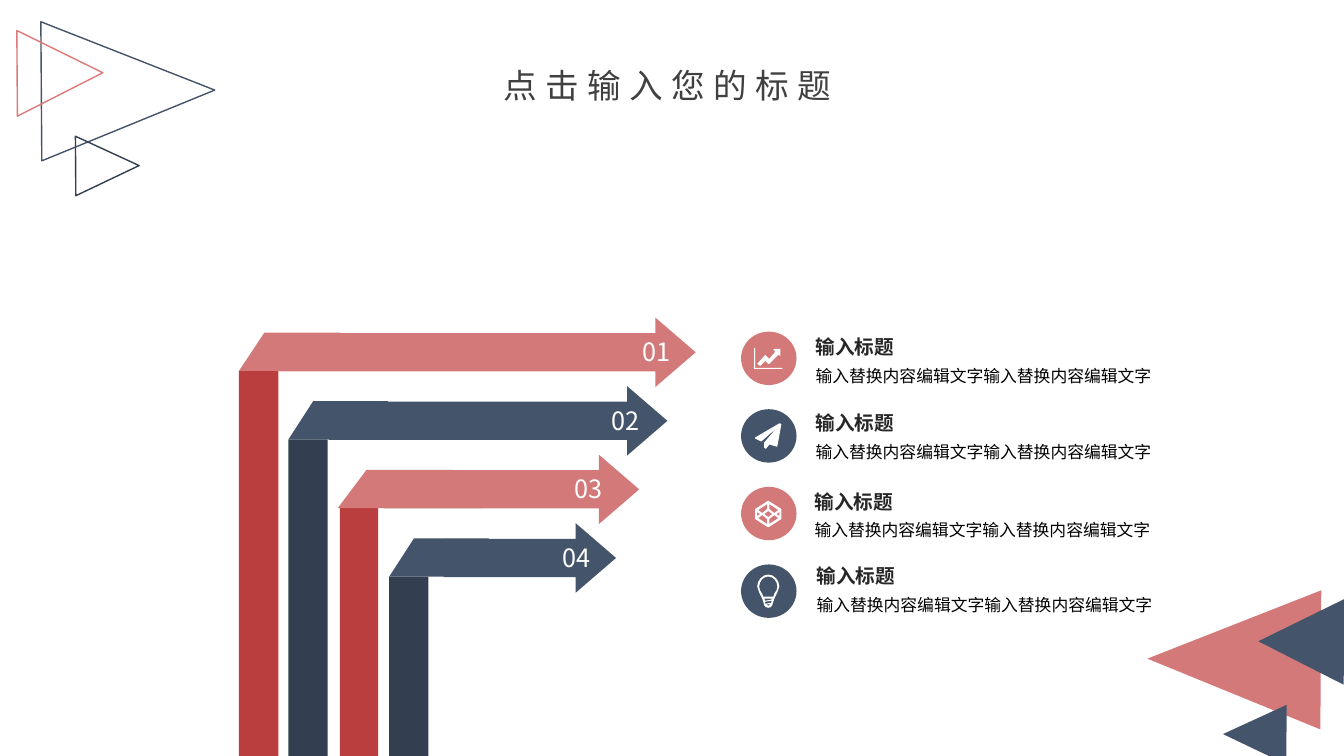
"""Build a slide of four folded arrows beside four captioned icons."""
from dataclasses import dataclass
from typing import Optional

from lxml import etree
from pptx import Presentation
from pptx.dml.color import RGBColor
from pptx.enum.shapes import MSO_SHAPE
from pptx.enum.text import MSO_ANCHOR, MSO_AUTO_SIZE, PP_ALIGN
from pptx.oxml.ns import qn
from pptx.util import Inches, Pt

TRIANGLE = MSO_SHAPE.ISOSCELES_TRIANGLE
RECTANGLE = MSO_SHAPE.RECTANGLE
ARROW = MSO_SHAPE.RIGHT_ARROW
FOLD = MSO_SHAPE.FLOWCHART_MANUAL_OPERATION
OVAL = MSO_SHAPE.OVAL
CENTER = PP_ALIGN.CENTER
LEFT = PP_ALIGN.LEFT
MIDDLE = MSO_ANCHOR.MIDDLE
TOP = MSO_ANCHOR.TOP
GROW = MSO_AUTO_SIZE.SHAPE_TO_FIT_TEXT
FIXED = MSO_AUTO_SIZE.NONE

ROSE = RGBColor(0xD3, 0x79, 0x79)
PINK = RGBColor(0xDD, 0x79, 0x79)
RED = RGBColor(0xBB, 0x3E, 0x3E)
SLATE = RGBColor(0x44, 0x54, 0x6A)
NAVY = RGBColor(0x33, 0x3F, 0x50)
WHITE = RGBColor(0xFF, 0xFF, 0xFF)
BLACK = RGBColor(0x00, 0x00, 0x00)
INK = RGBColor(0x26, 0x26, 0x26)
GRAY = RGBColor(0x40, 0x40, 0x40)

FONT = "Noto Sans CJK SC"
PAGE_HEIGHT = 7.5
Contour = list[tuple[float, float]]


@dataclass(frozen=True)
class Triangle:
    left: float
    top: float
    width: float
    height: float
    rotation: float
    fill: Optional[RGBColor] = None
    line: Optional[RGBColor] = None


@dataclass(frozen=True)
class FoldedArrow:
    label: str
    pillar_left: float
    pillar_width: float
    fold_left: float
    fold_width: float
    arrow_left: float
    arrow_width: float
    label_left: float
    front: RGBColor
    side: RGBColor


@dataclass(frozen=True)
class Caption:
    left: float
    top: float
    color: RGBColor
    icon_left: float
    icon_top: float
    icon: list[Contour]


@dataclass(frozen=True)
class TextStyle:
    size: float
    color: RGBColor
    bold: bool = False
    align: int = LEFT
    anchor: int = TOP
    side_inset: float = 0
    end_inset: float = 0
    line_spacing: float = 1.0
    letter_spacing: float = 0
    wrap: bool = True
    auto_size: int = GROW


HEADING = TextStyle(24, GRAY, align=CENTER, anchor=MIDDLE, letter_spacing=6)
NUMBER = TextStyle(18, WHITE, align=CENTER, anchor=MIDDLE, wrap=False, auto_size=FIXED)
SUBTITLE = TextStyle(14, INK, bold=True, side_inset=0.1, line_spacing=1.5)
BODY = TextStyle(12, BLACK, side_inset=0.1, end_inset=0.05, line_spacing=1.2)


def mirrored(half: Contour, width: float) -> Contour:
    """Close a left-hand outline with its reflection."""
    return half + [(width - x, y) for x, y in reversed(half)]


CHART_ICON = [
    [(28, 21), (0, 21), (0, 0), (1, 0), (1, 20), (28, 20)],
    [(26, 8), (24, 7), (15, 16), (14, 16), (11, 13), (6, 18), (3, 16), (11, 7),
     (15, 11), (21, 4), (19, 2), (20, 1), (26, 1)],
]
PLANE_ICON = [
    [(26, 1), (22, 23), (21, 23), (14, 21), (11, 25), (10, 25), (9, 24), (9, 19),
     (21, 5), (6, 18), (0, 15), (0, 14), (24, 0), (25, 0)],
]
CUBE_ICON = [
    mirrored([(12.5, 0), (0, 8), (0, 18), (12.5, 26)], 26),
    [(5, 13), (2, 11), (2, 15)],
    [(12, 8), (12, 3), (3, 9), (7, 12)],
    [(12, 23), (12, 18), (7, 14), (3, 17)],
    [(17, 13), (13, 10), (9, 13), (13, 16)],
    [(23, 9), (14, 3), (14, 8), (19, 12)],
    [(23, 17), (19, 14), (14, 18), (14, 23)],
    [(24, 15), (24, 11), (21, 13)],
]
BULB_ICON = [
    mirrored([(11, 0), (6.8, 1), (3.2, 3.8), (0.9, 7.6), (0, 12), (2.1, 18), (5, 24),
              (7.2, 30.8), (8.6, 32.4), (11, 33)], 22),
    mirrored([(11, 2), (7.5, 2.8), (4.6, 5), (2.7, 8.3), (2, 12), (2.7, 15.5),
              (5, 19), (6, 22)], 22),
    [(14, 28), (8, 29), (8, 27), (14, 26)],
    [(8, 26), (7, 24), (15, 24), (14, 25)],
    [(11, 31), (9, 30), (13, 29)],
]

TRIANGLES = [
    Triangle(11.55, 5.68, 1.38, 1.72, 270.4, fill=ROSE),
    Triangle(12.15, 6.97, 0.59, 0.63, 270.4, fill=SLATE),
    Triangle(12.48, 5.94, 0.85, 0.85, 270.4, fill=SLATE),
    Triangle(0.58, 0.04, 1.38, 1.72, 89.6, line=SLATE),
    Triangle(0.77, 1.33, 0.59, 0.63, 89.6, line=NAVY),
    Triangle(0.17, 0.3, 0.85, 0.85, 89.6, line=PINK),
]
ARROWS = [
    FoldedArrow("01", 2.37, 0.39, 2.37, 1.26, 2.77, 4.13, 6.28, ROSE, RED),
    FoldedArrow("02", 2.86, 0.39, 2.86, 1.23, 3.26, 3.36, 5.97, SLATE, NAVY),
    FoldedArrow("03", 3.37, 0.38, 3.35, 1.43, 3.81, 2.53, 5.6, ROSE, RED),
    FoldedArrow("04", 3.86, 0.39, 3.86, 1.23, 4.4, 1.71, 5.48, SLATE, NAVY),
]
CAPTIONS = [
    Caption(7.99, 3.21, ROSE, 0.13, 0.16, CHART_ICON),
    Caption(7.99, 3.96, SLATE, 0.14, 0.14, PLANE_ICON),
    Caption(7.98, 4.74, ROSE, 0.14, 0.14, CUBE_ICON),
    Caption(8, 5.48, SLATE, 0.16, 0.1, BULB_ICON),
]


def paint(shape, fill: Optional[RGBColor], line: Optional[RGBColor] = None) -> None:
    """Give a shape a plain fill and outline without a shadow."""
    shape.shadow.inherit = False
    if fill is None:
        shape.fill.background()
    else:
        shape.fill.solid()
        shape.fill.fore_color.rgb = fill
    if line is None:
        shape.line.fill.background()
    else:
        shape.line.color.rgb = line
        shape.line.width = Pt(1)


def add_preset(page, kind: int, left: float, top: float, width: float, height: float,
               fill: Optional[RGBColor], line: Optional[RGBColor] = None, rotation: float = 0):
    """Add a painted preset shape."""
    shape = page.shapes.add_shape(kind, Inches(left), Inches(top), Inches(width), Inches(height))
    shape.rotation = rotation
    paint(shape, fill, line)
    return shape


def add_text(page, text: str, left: float, top: float, width: float, height: float,
             style: TextStyle) -> None:
    """Add a text box holding one styled line."""
    box = page.shapes.add_textbox(Inches(left), Inches(top), Inches(width), Inches(height))
    frame = box.text_frame
    frame.word_wrap = style.wrap
    frame.auto_size = style.auto_size
    frame.vertical_anchor = style.anchor
    frame.margin_left = frame.margin_right = Inches(style.side_inset)
    frame.margin_top = frame.margin_bottom = Inches(style.end_inset)
    para = frame.paragraphs[0]
    para.alignment = style.align
    para.line_spacing = style.line_spacing
    span = para.add_run()
    span.text = text
    span.font.name = FONT
    span.font.size = Pt(style.size)
    span.font.bold = style.bold
    span.font.color.rgb = style.color
    properties = span.font._element
    etree.SubElement(properties, qn("a:ea")).set("typeface", FONT)
    if style.letter_spacing:
        properties.set("spc", str(int(style.letter_spacing * 100)))


def add_icon(page, contours: list[Contour], left: float, top: float) -> None:
    """Draw contours given in hundredths of an inch as one white shape."""
    outlines = [[(Inches(x / 100), Inches(y / 100)) for x, y in contour] for contour in contours]
    builder = page.shapes.build_freeform(*outlines[0][0])
    builder.add_line_segments(outlines[0][1:])
    for outline in outlines[1:]:
        builder.move_to(*outline[0])
        builder.add_line_segments(outline[1:])
    paint(builder.convert_to_shape(Inches(left), Inches(top)), WHITE)


def add_folded_arrow(page, item: FoldedArrow, top: float) -> None:
    """Draw a pillar that folds into a numbered arrow."""
    pillar_top = top + 0.53
    add_preset(page, RECTANGLE, item.pillar_left, pillar_top, item.pillar_width,
               PAGE_HEIGHT - pillar_top, item.side)
    arrow = add_preset(page, ARROW, item.arrow_left, top, item.arrow_width, 0.69, item.front)
    arrow.adjustments[0] = 0.55
    arrow.adjustments[1] = 0.58
    add_preset(page, FOLD, item.fold_left, pillar_top - 0.38, item.fold_width, 0.38,
               item.front, rotation=180)
    add_text(page, item.label, item.label_left, top + 0.19, 0.47, 0.3, NUMBER)


def add_caption(page, item: Caption, circle_top: float) -> None:
    """Draw an icon in a circle with its title and body text."""
    circle_left = 7.35
    add_preset(page, OVAL, circle_left, circle_top, 0.55, 0.53, item.color)
    add_icon(page, item.icon, circle_left + item.icon_left, circle_top + item.icon_top)
    add_text(page, "输入标题", item.left, item.top, 2.03, 0.31, SUBTITLE)
    add_text(page, "输入替换内容编辑文字输入替换内容编辑文字", item.left, item.top + 0.33,
             4.15, 0.32, BODY)


def main() -> None:
    """Assemble and save the deck."""
    deck = Presentation()
    deck.slide_width, deck.slide_height = Inches(13.33), Inches(PAGE_HEIGHT)
    page = deck.slides.add_slide(deck.slide_layouts[6])
    for item in TRIANGLES:
        add_preset(page, TRIANGLE, item.left, item.top, item.width, item.height,
                   item.fill, item.line, item.rotation)
    for index, arrow in enumerate(ARROWS):
        add_folded_arrow(page, arrow, 3.15 + 0.68 * index)
    for index, caption in enumerate(CAPTIONS):
        add_caption(page, caption, 3.29 + 0.77 * index)
    add_text(page, "点击输入您的标题", 4.57, 0.64, 4.09, 0.4, HEADING)
    deck.save("out.pptx")


if __name__ == "__main__":
    main()
